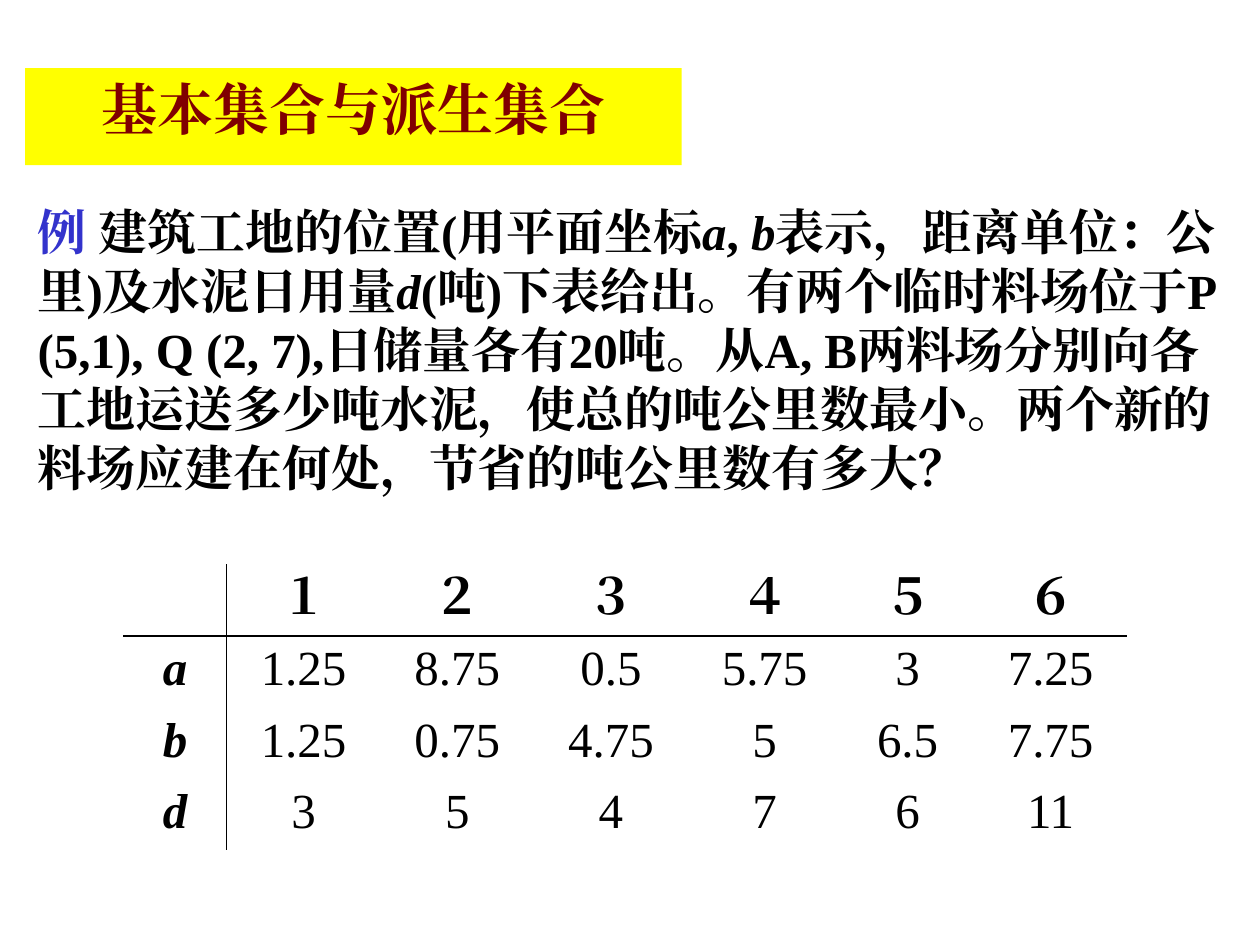
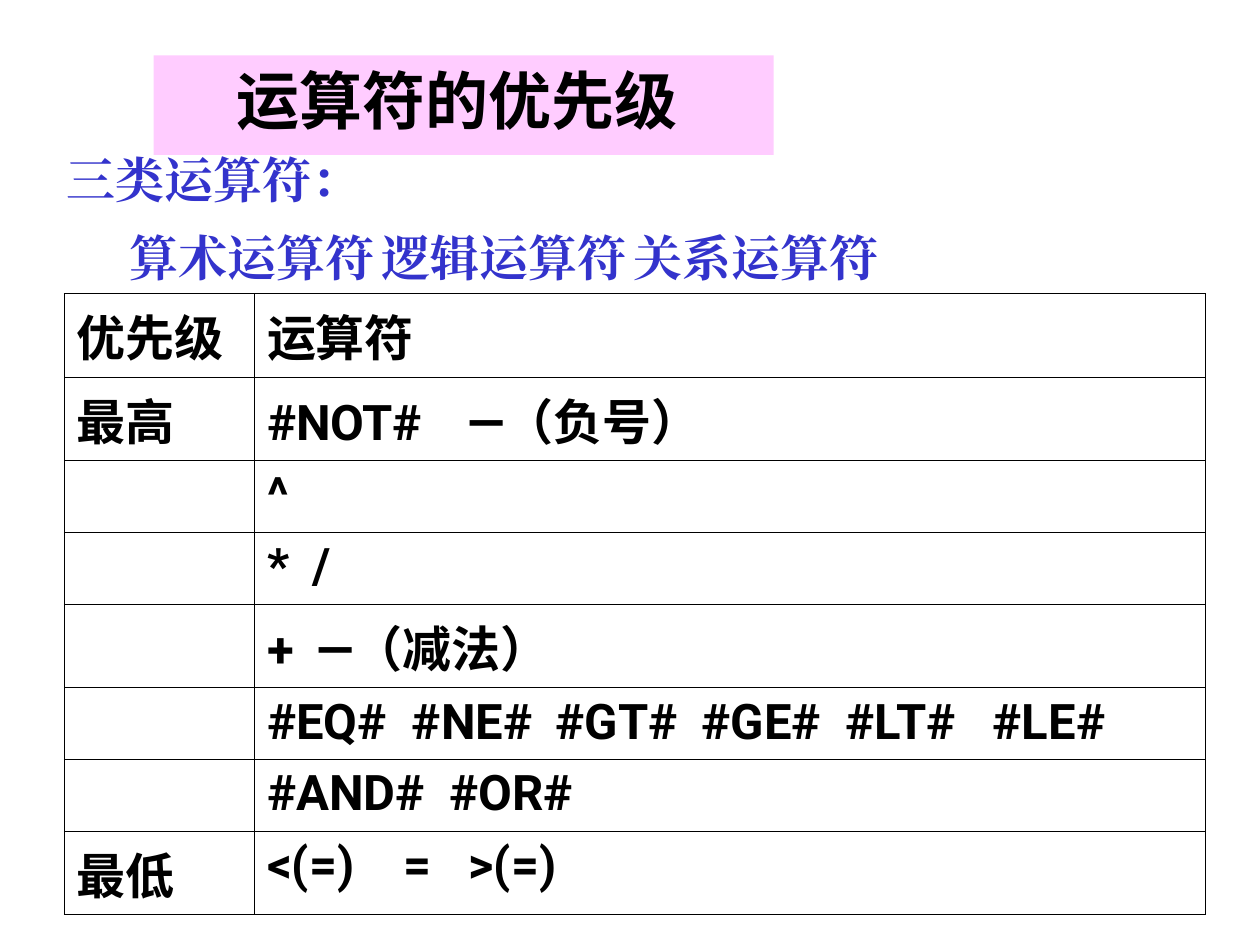
from dataclasses import dataclass

from lxml.etree import SubElement
from pptx import Presentation
from pptx.dml.color import RGBColor
from pptx.enum.text import MSO_ANCHOR, MSO_AUTO_SIZE, PP_ALIGN
from pptx.oxml.ns import qn
from pptx.util import Inches, Pt

# Shared look
BLACK, BLUE, MAROON = "000000", "3333CC", "800000"
YELLOW, PINK = "FFFF00", "FFCCFF"
SERIF, SANS, CJK = "Times New Roman", "Roboto", "Noto Sans CJK SC"
TITLE_ONLY, TITLE_AND_BODY = 5, 1


@dataclass(frozen=True)
class Style:
    font: str = SERIF
    east_asian: str = SERIF
    size: float = 28
    color: str = BLACK
    bold: bool = True
    italic: bool = False


@dataclass(frozen=True)
class Box:
    left: float
    top: float
    width: float
    height: float

    def lengths(self) -> tuple:
        return tuple(Inches(v) for v in (self.left, self.top, self.width, self.height))


@dataclass(frozen=True)
class TitleBand:
    text: str
    box: Box
    fill: str
    style: Style


TEXT = Style()
ACCENT = Style(color=BLUE)
SYMBOL = Style(italic=True)
NUMBER = Style(bold=False)
OPERATOR = Style(SANS, CJK)


def rgb(value: str) -> RGBColor:
    return RGBColor.from_string(value)


def format_run(r, style: Style) -> None:
    font = r.font
    font.name, font.size = style.font, Pt(style.size)
    font.bold, font.italic = style.bold, style.italic
    font.color.rgb = rgb(style.color)
    SubElement(r._r.get_or_add_rPr(), qn("a:ea"), typeface=style.east_asian)


def format_paragraph(p, style: Style) -> None:
    for r in p.runs:
        format_run(r, style)


def place(sp, box: Box) -> None:
    sp.left, sp.top, sp.width, sp.height = box.lengths()


def set_tabs(p, stops: tuple) -> None:
    tab_list = SubElement(p._p.get_or_add_pPr(), qn("a:tabLst"))
    for stop in stops:
        SubElement(tab_list, qn("a:tab"), pos=str(Inches(stop)), algn="l")


def add_title(s, band: TitleBand) -> None:
    sp = s.shapes.title
    place(sp, band.box)
    sp.fill.solid()
    sp.fill.fore_color.rgb = rgb(band.fill)
    tf = sp.text_frame
    tf.text = band.text
    tf.auto_size = MSO_AUTO_SIZE.NONE
    tf.vertical_anchor = MSO_ANCHOR.TOP
    tf.paragraphs[0].alignment = PP_ALIGN.CENTER
    format_paragraph(tf.paragraphs[0], band.style)


def set_borders(cell, edges: str, width: float) -> None:
    """Draw the edges named by the letters L, R, T and B; clear the others."""
    tc_pr = cell._tc.get_or_add_tcPr()
    for edge in "LRTB":
        ln = SubElement(tc_pr, qn(f"a:ln{edge}"), w=str(Pt(width)))
        if edge in edges:
            fill = SubElement(ln, qn("a:solidFill"))
            SubElement(fill, qn("a:srgbClr"), val=BLACK)
        else:
            SubElement(ln, qn("a:noFill"))


def add_plain_table(s, box: Box, rows: int, widths: list):
    table = s.shapes.add_table(rows, len(widths), *box.lengths()).table
    table.first_row = table.horz_banding = False
    for column, width in zip(table.columns, widths):
        column.width = Inches(width)
    return table


def fill_cell(cell, text: str, style: Style, edges: str, width: float):
    set_borders(cell, edges, width)
    cell.fill.background()
    cell.text = text
    p = cell.text_frame.paragraphs[0]
    format_paragraph(p, style)
    return p


# Slide 1: building sites
SITES_TITLE = TitleBand("基本集合与派生集合", Box(0.2, 0.54, 5.21, 0.77), YELLOW,
                        Style(size=32, color=MAROON))
PROBLEM = [
    ("例", ACCENT),
    (" 建筑工地的位置(用平面坐标", TEXT),
    ("a", SYMBOL),
    (", ", TEXT),
    ("b", SYMBOL),
    ("表示，距离单位：公里)及水泥日用量", TEXT),
    ("d", SYMBOL),
    ("(吨)下表给出。有两个临时料场位于P (5,1), Q (2, 7),日储量各有20吨。"
     "从A, B两料场分别向各工地运送多少吨水泥，使总的吨公里数最小。"
     "两个新的料场应建在何处，节省的吨公里数有多大？", TEXT),
]
SITES = [
    ["", "１", "２", "３", "４", "５", "６"],
    ["a", "1.25", "8.75", "0.5", "5.75", "3", "7.25"],
    ["b", "1.25", "0.75", "4.75", "5", "6.5", "7.75"],
    ["d", "3", "5", "4", "7", "6", "11"],
]


def build_sites(prs) -> None:
    s = prs.slides.add_slide(prs.slide_layouts[TITLE_ONLY])
    add_title(s, SITES_TITLE)

    # Problem statement
    tf = s.shapes.add_textbox(*Box(0.2, 1.55, 9.61, 2.44).lengths()).text_frame
    tf.word_wrap = True
    tf.vertical_anchor = MSO_ANCHOR.MIDDLE
    for text, style in PROBLEM:
        r = tf.paragraphs[0].add_run()
        r.text = text
        format_run(r, style)

    # Coordinates and demand, ruled below the header and after the labels
    table = add_plain_table(s, Box(0.98, 4.48, 7.96, 2.27), len(SITES),
                            [0.82, 1.22, 1.22, 1.22, 1.22, 1.05, 1.22])
    for i, row in enumerate(SITES):
        for j, text in enumerate(row):
            style = TEXT if i == 0 else SYMBOL if j == 0 else NUMBER
            edges = {0: "B", 1: "T"}.get(i, "") + {0: "R", 1: "L"}.get(j, "")
            p = fill_cell(table.cell(i, j), text, style, edges, 0.96)
            p.alignment = PP_ALIGN.CENTER


# Slide 2: operator priority
PRIORITY_TITLE = TitleBand("运算符的优先级 ", Box(1.22, 0.44, 4.92, 0.79), PINK,
                           Style(CJK, CJK, 36))
KINDS = [
    ("三类运算符：", ()),
    ("\t算术运算符\t逻辑运算符\t关系运算符", (0.79, 3.61, 6)),
]
PRIORITIES = [
    ("优先级", "运算符", ()),
    ("最高", "#NOT#\t—（负号）", (1.59,)),
    ("", "^", ()),
    ("", "*\t/", (0.36,)),
    ("", "+\t—（减法）", (0.39,)),
    ("", "#EQ#\t#NE#\t#GT#\t#GE#\t#LT#\t#LE#", (1.15, 2.29, 3.45, 4.59, 5.76)),
    ("", "#AND#\t#OR#", (1.45,)),
    ("最低", "<(=)\t=\t>(=)", (1.08, 1.6)),
]


def build_priorities(prs) -> None:
    s = prs.slides.add_slide(prs.slide_layouts[TITLE_AND_BODY])
    add_title(s, PRIORITY_TITLE)

    # Three kinds of operators
    body = s.placeholders[1]
    place(body, Box(0.43, 1.23, 8.51, 1.09))
    tf = body.text_frame
    tf.auto_size = MSO_AUTO_SIZE.NONE
    tf.text = "\n".join(text for text, _ in KINDS)
    for i, (p, (_, stops)) in enumerate(zip(tf.paragraphs, KINDS)):
        p.line_spacing = 0.8
        p.space_before = Pt(17.5 if i else 0)
        p_pr = p._p.get_or_add_pPr()
        p_pr.set("marL", "0")
        p_pr.set("indent", "0")
        SubElement(p_pr, qn("a:buNone"))
        if stops:
            set_tabs(p, stops)
        format_paragraph(p, ACCENT)

    # Priorities from highest to lowest
    table = add_plain_table(s, Box(0.51, 2.33, 9.06, 4.56), len(PRIORITIES), [1.51, 7.55])
    for i, (level, operators, stops) in enumerate(PRIORITIES):
        fill_cell(table.cell(i, 0), level, OPERATOR, "LRTB", 0.45)
        p = fill_cell(table.cell(i, 1), operators, OPERATOR, "LRTB", 0.45)
        if stops:
            set_tabs(p, stops)


def main() -> None:
    prs = Presentation()
    prs.slide_width, prs.slide_height = Inches(10), Inches(7.5)
    build_sites(prs)
    build_priorities(prs)
    prs.save("out.pptx")


if __name__ == "__main__":
    main()
